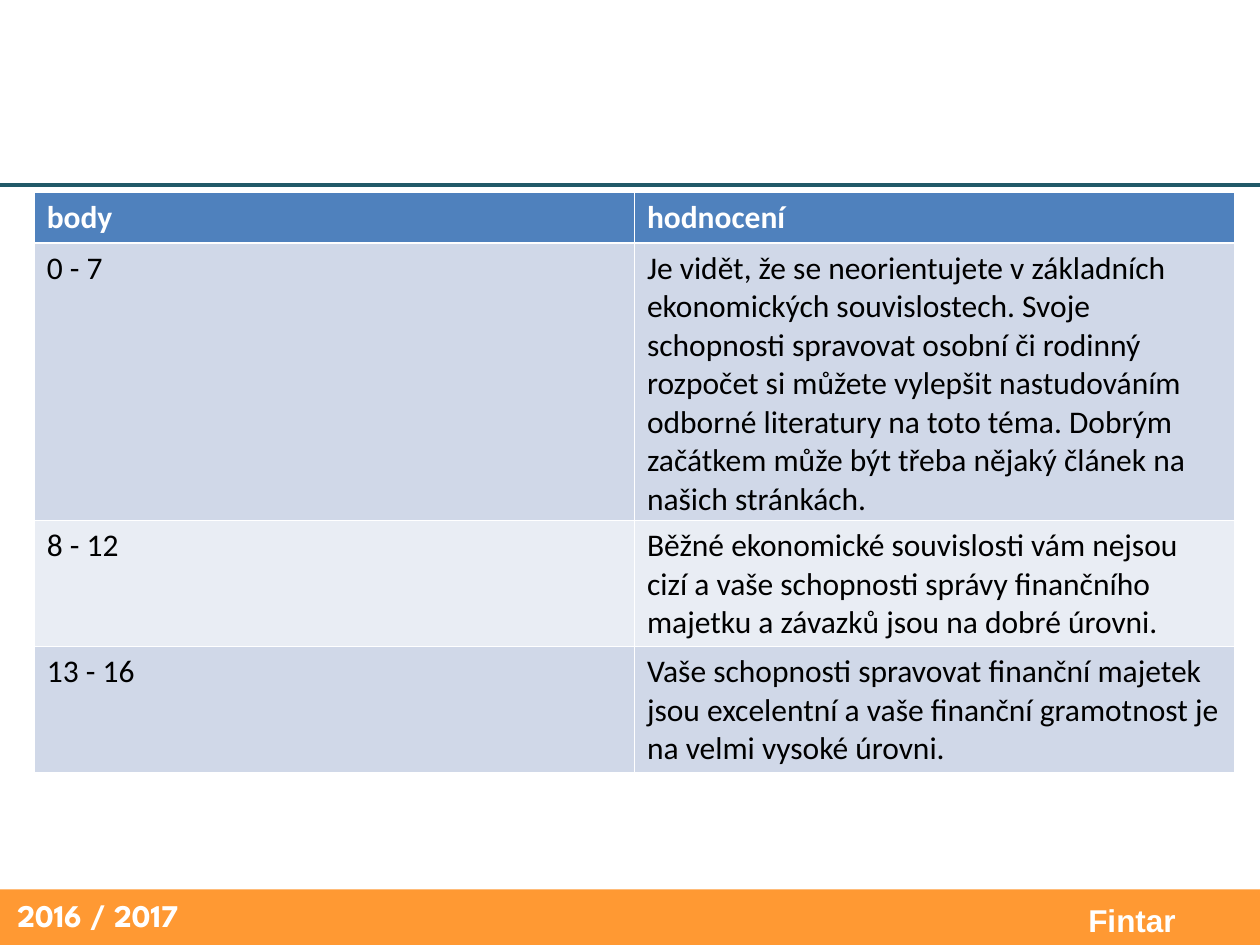
from dataclasses import dataclass

from lxml import etree
from pptx import Presentation
from pptx.dml.color import RGBColor
from pptx.enum.shapes import MSO_CONNECTOR, MSO_SHAPE
from pptx.oxml.ns import qn
from pptx.util import Cm, Pt

RECTANGLE = MSO_SHAPE.RECTANGLE
STRAIGHT = MSO_CONNECTOR.STRAIGHT


@dataclass(frozen=True)
class Theme:
    """Colours, fonts and sizes shared by the whole slide."""
    white: str = "FFFFFF"
    black: str = "000000"
    footer: str = "FF9933"
    rule: str = "215968"
    header: str = "4F81BD"
    bands: tuple = ("D0D8E8", "E9EDF4")
    table_font: str = "Calibri"
    year_font: str = "League Spartan"
    name_font: str = "Arial"
    text_size: float = 18
    rule_width: float = 2.5
    thin: float = 0.45
    thick: float = 1.47


THEME = Theme()
RATINGS = [
    ("body", "hodnocení"),
    ("0 - 7", "Je vidět, že se neorientujete v základních ekonomických souvislostech. "
              "Svoje schopnosti spravovat osobní či rodinný rozpočet si můžete vylepšit "
              "nastudováním odborné literatury na toto téma. Dobrým začátkem může být "
              "třeba nějaký článek na našich stránkách."),
    ("8 - 12", "Běžné ekonomické souvislosti vám nejsou cizí a vaše schopnosti správy "
               "finančního majetku a závazků jsou na dobré úrovni."),
    ("13 - 16", "Vaše schopnosti spravovat finanční majetek jsou excelentní a vaše "
                "finanční gramotnost je na velmi vysoké úrovni."),
]
ROW_HEIGHTS = [1.02, 5.59, 2.54, 2.54]


def add_span(para, text, font, colour, bold):
    """Add one styled run to a paragraph."""
    span = para.add_run()
    span.text = text
    span.font.name = font
    span.font.size = Pt(THEME.text_size)
    span.font.bold = bold
    span.font.color.rgb = RGBColor.from_string(colour)


def add_label(page, left, top, width, height, text, font):
    """Place a bold white label."""
    box = page.shapes.add_textbox(Cm(left), Cm(top), Cm(width), Cm(height))
    box.text_frame.word_wrap = True
    add_span(box.text_frame.paragraphs[0], text, font, THEME.white, True)


def add_footer(page, left, top, width, height):
    """Draw the footer band with the year and the course name."""
    band = page.shapes.add_shape(RECTANGLE, Cm(left), Cm(top), Cm(width), Cm(height))
    band.shadow.inherit = False
    band.fill.solid()
    band.fill.fore_color.rgb = RGBColor.from_string(THEME.footer)
    band.line.fill.background()
    add_label(page, left + 0.1, top, 4.8, 1.02, "2016 / 2017", THEME.year_font)
    add_label(page, left + 21.69, top + 0.1, 2.6, 1.02, "Fintar", THEME.name_font)


def add_rule(page, left, top, width):
    """Draw the horizontal rule under the title area."""
    rule = page.shapes.add_connector(STRAIGHT, Cm(left), Cm(top), Cm(left + width), Cm(top))
    rule.line.color.rgb = RGBColor.from_string(THEME.rule)
    rule.line.width = Pt(THEME.rule_width)
    etree.SubElement(rule._element.spPr, qn("a:effectLst"))


def set_borders(cell, widths):
    """Give a cell white borders from a mapping of side to width."""
    properties = cell._tc.get_or_add_tcPr()
    for side, width in widths.items():
        line = etree.SubElement(properties, qn(f"a:ln{side}"), w=str(Pt(width)))
        fill = etree.SubElement(line, qn("a:solidFill"))
        etree.SubElement(fill, qn("a:srgbClr"), val=THEME.white)


def add_ratings(page, left, top, width, row_heights):
    """Build the table of point ranges and their ratings."""
    frame = page.shapes.add_table(len(RATINGS), len(RATINGS[0]), Cm(left), Cm(top),
                                  Cm(width), Cm(sum(row_heights)))
    table = frame.table
    for row, (texts, height) in enumerate(zip(RATINGS, row_heights)):
        table.rows[row].height = Cm(height)
        is_header = row == 0
        fill = THEME.header if is_header else THEME.bands[(row - 1) % 2]
        colour = THEME.white if is_header else THEME.black
        borders = {"L": THEME.thin, "R": THEME.thin,
                   "T": THEME.thick if row == 1 else THEME.thin,
                   "B": THEME.thick if is_header else THEME.thin}
        for column, text in enumerate(texts):
            cell = table.cell(row, column)
            set_borders(cell, borders)
            cell.fill.solid()
            cell.fill.fore_color.rgb = RGBColor.from_string(fill)
            add_span(cell.text_frame.paragraphs[0], text, THEME.table_font, colour, is_header)


def main():
    """Build and save the slide."""
    deck = Presentation()
    deck.slide_width, deck.slide_height = Cm(25.4), Cm(19.05)
    page = deck.slides.add_slide(deck.slide_layouts[6])
    add_footer(page, 0, 17.93, 25.4, 1.78)
    add_rule(page, 0, 3.73, 25.4)
    add_ratings(page, 0.69, 3.88, 24.2, ROW_HEIGHTS)
    deck.save("out.pptx")


if __name__ == "__main__":
    main()
